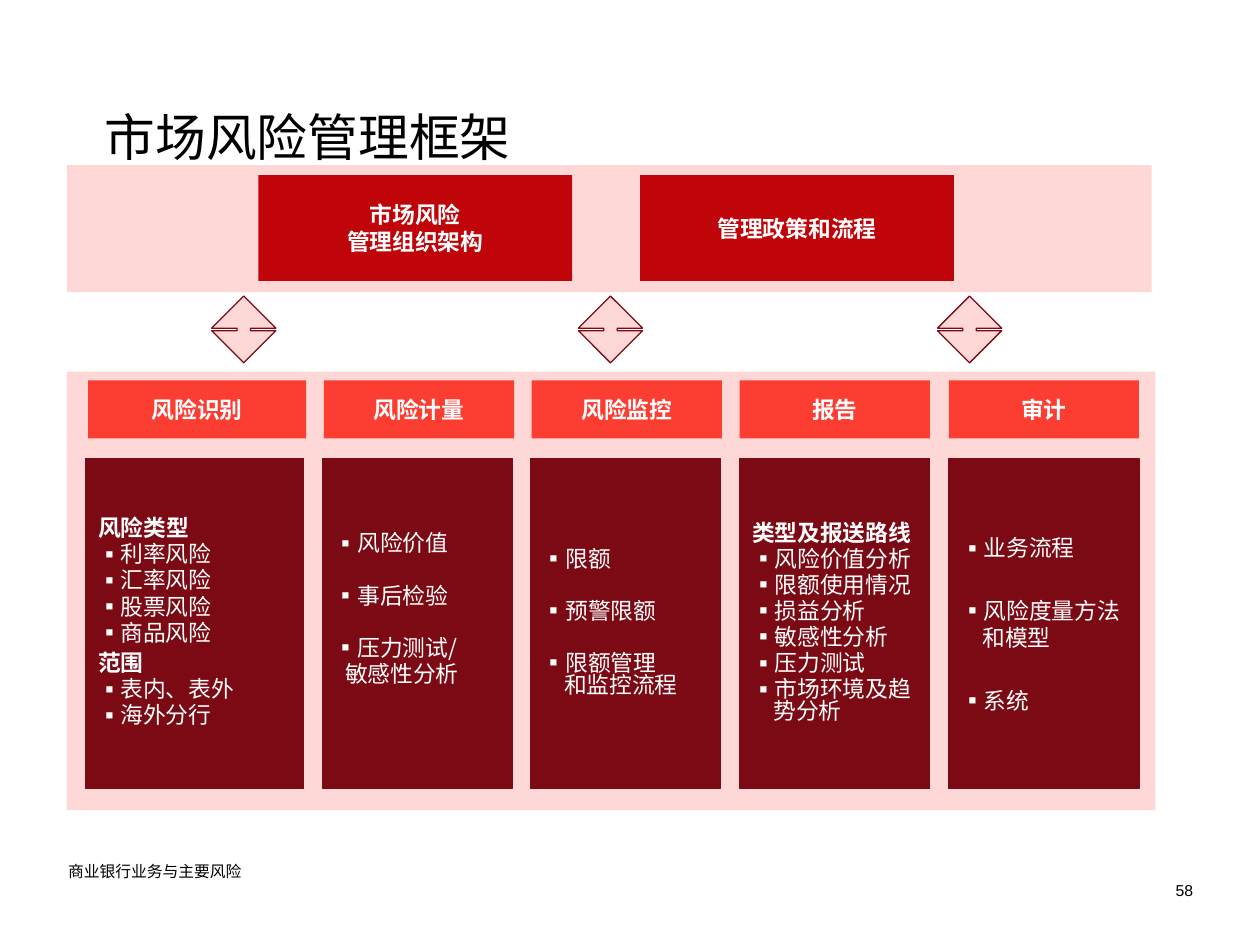
"""Build the market risk management framework slide."""
import dataclasses
import typing

import lxml.etree
import pptx
import pptx.dml.color
import pptx.enum.shapes
import pptx.enum.text
import pptx.oxml.ns
import pptx.util

Inches = pptx.util.Inches
Pt = pptx.util.Pt
Align = pptx.enum.text.PP_ALIGN
Anchor = pptx.enum.text.MSO_ANCHOR
Preset = pptx.enum.shapes.MSO_SHAPE

COLORS = {
    "black": "000000",
    "white": "FFFFFF",
    "panel": "FED8D6",
    "pillar": "BF0509",
    "header": "FB3D32",
    "body": "7B0A14",
}
CJK = "Noto Sans CJK SC"
HANG = 0.17


@dataclasses.dataclass
class Entry:
    text: str
    bullet: bool = True
    bold: bool = False
    before: float = 2.4
    margin: float = HANG
    indent: float = -HANG


@dataclasses.dataclass
class Stage:
    title: str
    header_left: float
    body_left: float
    width: float
    entries: list[Entry]
    spacing: float = 0.8
    bottom_inset: float = 0.05


def heading(text: str) -> Entry:
    return Entry(text, bullet=False, bold=True, before=4.9)


def bullets(*texts: str, before: float = 2.4) -> list[Entry]:
    return [Entry(text, before=before) for text in texts]


STAGES = [
    Stage("风险识别", 0.7, 0.68, 1.73, [
        heading("风险类型"),
        *bullets("利率风险", "汇率风险", "股票风险", "商品风险"),
        heading("范围"),
        *bullets("表内、表外", "海外分行"),
    ]),
    Stage("风险计量", 2.57, 2.56, 1.51, [
        *bullets("风险价值", "事后检验", "压力测试/", before=17.3),
        Entry("敏感性分析", bullet=False, margin=0.08, indent=0),
    ], bottom_inset=0.26),
    Stage("风险监控", 4.22, 4.21, 1.51,
          bullets("限额", "预警限额", "限额管理\v和监控流程", before=17.3)),
    Stage("报告", 5.87, 5.87, 1.51, [
        heading("类型及报送路线"),
        *bullets("风险价值分析", "限额使用情况", "损益分析", "敏感性分析",
                 "压力测试", "市场环境及趋势分析"),
    ]),
    Stage("审计", 7.53, 7.53, 1.51,
          bullets("业务流程", "风险度量方法和模型", "系统", before=20.2),
          spacing=1.0),
]


def rgb(name: str) -> pptx.dml.color.RGBColor:
    return pptx.dml.color.RGBColor.from_string(COLORS[name])


def add_bullet(paragraph: typing.Any) -> None:
    properties = paragraph._p.get_or_add_pPr()
    qn = pptx.oxml.ns.qn
    color = lxml.etree.SubElement(properties, qn("a:buClr"))
    lxml.etree.SubElement(color, qn("a:srgbClr"), val=COLORS["white"])
    lxml.etree.SubElement(properties, qn("a:buFont"), typeface=CJK)
    lxml.etree.SubElement(properties, qn("a:buChar"), char="▪")


def write(frame: typing.Any, text: str, *, size: float = 13, font: str = "Arial",
          color: str = "white", bold: bool = False, align: Align = Align.LEFT,
          before: float = 0, spacing: float = 1.0, margin: float = 0,
          indent: float = 0, bullet: bool = False) -> None:
    paragraph = frame.paragraphs[0]
    if paragraph.text:
        paragraph = frame.add_paragraph()
    else:
        before = 0
    paragraph.text = text
    properties = paragraph._p.get_or_add_pPr()
    properties.set("marL", str(Inches(margin)))
    properties.set("indent", str(Inches(indent)))
    if bullet:
        add_bullet(paragraph)
    paragraph.alignment = align
    paragraph.line_spacing = spacing
    paragraph.space_before = Pt(before)
    paragraph.font.size = Pt(size)
    paragraph.font.name = font
    paragraph.font.bold = bold
    paragraph.font.color.rgb = rgb(color)


def add_block(slide: typing.Any, left: float, top: float, width: float, height: float,
              fill: str, *, line: str | None = None,
              preset: Preset = Preset.RECTANGLE) -> typing.Any:
    block = slide.shapes.add_shape(
        preset, Inches(left), Inches(top), Inches(width), Inches(height))
    block.shadow.inherit = False
    block.fill.solid()
    block.fill.fore_color.rgb = rgb(fill)
    if line:
        block.line.color.rgb = rgb(line)
        block.line.width = Pt(0.75)
    else:
        block.line.fill.background()
    block.text_frame.word_wrap = True
    block.text_frame.vertical_anchor = Anchor.MIDDLE
    return block


def add_stage(slide: typing.Any, stage: Stage) -> None:
    header = add_block(slide, stage.header_left, 3.02, stage.width, 0.46, "header")
    write(header.text_frame, stage.title, bold=True, align=Align.CENTER)
    body = add_block(slide, stage.body_left, 3.64, stage.width, 2.62, "body", line="body")
    body.text_frame.margin_bottom = Inches(stage.bottom_inset)
    for entry in stage.entries:
        write(body.text_frame, entry.text, font=CJK, bold=entry.bold,
              before=entry.before, spacing=stage.spacing, margin=entry.margin,
              indent=entry.indent, bullet=entry.bullet)


def add_footer(slide: typing.Any, text: str, left: float, top: float, width: float,
               align: Align, anchor: Anchor) -> None:
    footer = slide.shapes.add_textbox(
        Inches(left), Inches(top), Inches(width), Inches(0.15)).text_frame
    footer.word_wrap = True
    footer.vertical_anchor = anchor
    footer.margin_left = footer.margin_right = 0
    footer.margin_top = footer.margin_bottom = 0
    write(footer, text, size=9, color="black", align=align)


def add_title(slide: typing.Any, text: str) -> None:
    title = slide.shapes.title
    title.left, title.top = Inches(0.37), Inches(0.84)
    title.width, title.height = Inches(8.94), Inches(0.44)
    title.text_frame.auto_size = pptx.enum.text.MSO_AUTO_SIZE.NONE
    title.text_frame.vertical_anchor = Anchor.TOP
    write(title.text_frame, text, size=29, font="Calibri", color="black",
          spacing=0.9, margin=0.36)


def main() -> None:
    deck = pptx.Presentation()
    deck.slide_width, deck.slide_height = Inches(10), Inches(7.5)
    slide = deck.slides.add_slide(deck.slide_layouts[5])
    add_title(slide, "市场风险管理框架")
    add_footer(slide, "58", 7.8, 6.99, 1.67, Align.RIGHT, Anchor.TOP)
    add_footer(slide, "商业银行业务与主要风险", 0.54, 6.84, 5.75, Align.LEFT, Anchor.BOTTOM)

    add_block(slide, 0.53, 1.31, 8.61, 1.01, "panel")
    for left, font, lines in [(2.05, "Arial", ["市场风险", "管理组织架构"]),
                              (5.08, CJK, ["管理政策和流程"])]:
        pillar = add_block(slide, left, 1.39, 2.49, 0.84, "pillar")
        for text in lines:
            write(pillar.text_frame, text, font=font, bold=True, align=Align.CENTER)

    add_block(slide, 0.53, 2.95, 8.64, 3.48, "panel")
    for stage in STAGES:
        add_stage(slide, stage)

    for left in (1.68, 4.59, 7.44):
        arrow = add_block(slide, left, 2.35, 0.51, 0.53, "panel", line="body",
                          preset=Preset.UP_DOWN_ARROW)
        arrow.adjustments[0] = 0.5
        arrow.adjustments[1] = 0.21
    deck.save("out.pptx")


if __name__ == "__main__":
    main()
